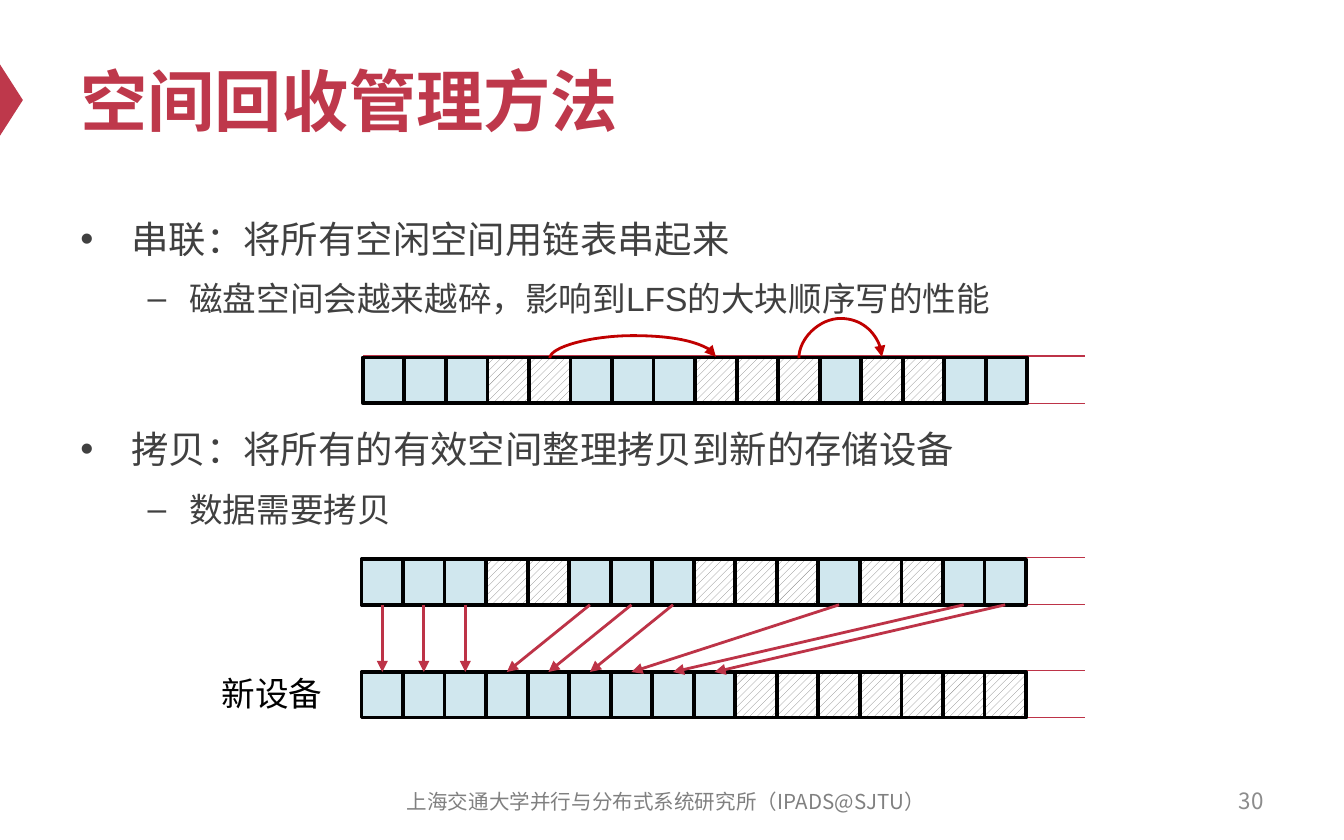
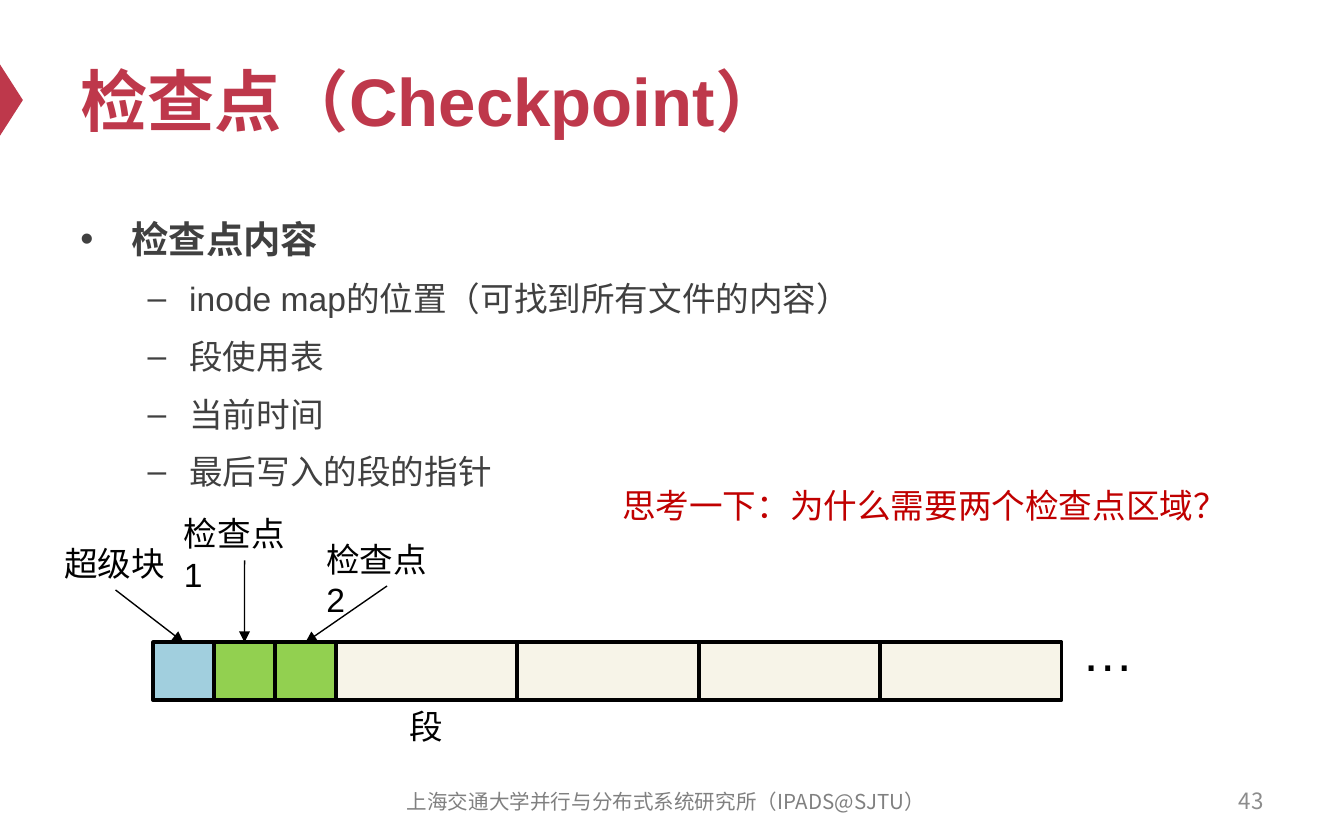
from lxml import etree
from pptx import Presentation
from pptx.dml.color import RGBColor
from pptx.enum.dml import MSO_PATTERN
from pptx.enum.shapes import MSO_CONNECTOR as Link, MSO_SHAPE as Preset
from pptx.enum.text import MSO_ANCHOR as Anchor, PP_ALIGN as Align
from pptx.oxml.ns import qn
from pptx.util import Inches, Pt

COLUMNS, ROWS = 100, 62.5
UNIT = Inches(0.1)
TOP, BOTTOM = 0, 2

CRIMSON, ARROW_RED, DEEP_RED = "BE384B", "BD3347", "C00000"
BLACK, WHITE, BODY_GREY = "000000", "FFFFFF", "404040"
HATCH_GREY, FOOTER_GREY, NUMBER_GREY = "808080", "808080", "8C8C8C"
USED_BLUE, SUPER_BLUE, CHECK_GREEN, SEGMENT_CREAM = "D0E7EE", "A1CFDE", "92D050", "F7F4E8"
BODY_FONT, FOOTER_FONT = "Arial", "Noto Sans CJK SC"

CELL_WIDTH, CELL_HEIGHT = 3.09, 3.4
OLD_BLOCKS = "###..###...#..##"
NEW_BLOCKS = "#########......."
FOOTER = "上海交通大学并行与分布式系统研究所（IPADS@SJTU）"

LEVELS = {
    0: {"size": 20, "left": 3.8, "hang": 3.8, "before": 12, "bullet": "•"},
    1: {"size": 18, "left": 8.1, "hang": 3.1, "before": 5, "bullet": "–"},
}


def units(*lengths):
    return [round(length * UNIT) for length in lengths]


def color(hex_value):
    return RGBColor.from_string(hex_value)


def apply(target, values):
    for name, value in values.items():
        setattr(target, name, value)


def add_run(paragraph, text, size, hex_value, font=BODY_FONT, bold=False):
    run = paragraph.add_run()
    run.text = text
    apply(run.font, {"size": Pt(size), "name": font, "bold": bold})
    run.font.color.rgb = color(hex_value)
    etree.SubElement(run.font._element, qn("a:ea"), typeface=font)


def add_frame(slide, area, anchor=Anchor.TOP, right=1, top=0.5):
    box = slide.shapes.add_textbox(*units(*area))
    margin_right, margin_top = units(right, top)
    apply(box.text_frame, {"word_wrap": True, "vertical_anchor": anchor,
                           "margin_right": margin_right, "margin_top": margin_top})
    return box


def add_label(slide, text, area, size=18, hex_value=BLACK, font=BODY_FONT,
              bold=False, align=Align.LEFT, anchor=Anchor.TOP, right=0):
    box = add_frame(slide, area, anchor, right)
    paragraph = box.text_frame.paragraphs[0]
    paragraph.alignment = align
    add_run(paragraph, text, size, hex_value, font, bold)
    return box


def add_body(slide, items):
    frame = add_frame(slide, (5, 14.6, 90, 41.2), top=0.8).text_frame
    for index, (level, text, options) in enumerate(items):
        style = LEVELS[level]
        paragraph = frame.add_paragraph() if index else frame.paragraphs[0]
        before = options.get("before", style["before"]) if index else 0
        apply(paragraph, {"level": level, "line_spacing": 1.2, "space_before": Pt(before)})
        properties = paragraph._p.get_or_add_pPr()
        left, hang = units(style["left"], style["hang"])
        properties.set("marL", str(left))
        properties.set("indent", str(-hang))
        etree.SubElement(properties, qn("a:buFont"), typeface=BODY_FONT)
        etree.SubElement(properties, qn("a:buChar"), char=style["bullet"])
        add_run(paragraph, text, style["size"], BODY_GREY, bold=options.get("bold", False))


def add_cell(slide, area, fill):
    cell = slide.shapes.add_shape(Preset.RECTANGLE, *units(*area))
    cell.shadow.inherit = False
    if fill:
        cell.fill.solid()
        cell.fill.fore_color.rgb = color(fill)
    else:
        cell.fill.patterned()
        cell.fill.pattern = MSO_PATTERN.WIDE_UPWARD_DIAGONAL
        cell.fill.fore_color.rgb = color(HATCH_GREY)
        cell.fill.back_color.rgb = color(WHITE)
    cell.line.color.rgb = color(BLACK)
    cell.line.width = Pt(2)
    return cell


def add_line(slide, hex_value, width, ends=(0, 0, 0, 0), kind=Link.STRAIGHT, arrow=False):
    line = slide.shapes.add_connector(kind, *units(*ends))
    line.line.color.rgb = color(hex_value)
    line.line.width = Pt(width)
    if arrow:
        etree.SubElement(line.line._get_or_add_ln(), qn("a:tailEnd"), type="triangle")
    etree.SubElement(line._element.spPr, qn("a:effectLst"))
    return line


def join(slide, start, end, hex_value, width, start_side=BOTTOM, kind=Link.STRAIGHT):
    line = add_line(slide, hex_value, width, kind=kind, arrow=True)
    line.begin_connect(start, start_side)
    line.end_connect(end, TOP)
    return line


def add_arch(slide, start, end, rise):
    arch = join(slide, start, end, DEEP_RED, 1.5, TOP, Link.CURVE)
    span = end.left - start.left
    thickness, = units(0.1)
    middle = start.left + (start.width + span) // 2
    transform = arch._element.spPr.find(qn("a:xfrm"))
    for name, value in {"rot": "5400000", "flipH": "1", "flipV": "1"}.items():
        transform.set(name, value)
    offset, extent = transform.find(qn("a:off")), transform.find(qn("a:ext"))
    offset.set("x", str(middle - thickness // 2))
    offset.set("y", str(start.top - span // 2))
    extent.set("cx", str(thickness))
    extent.set("cy", str(span))
    geometry = arch._element.spPr.find(qn("a:prstGeom"))
    geometry.set("prst", "curvedConnector3")
    guides = geometry.find(qn("a:avLst"))
    if guides is None:
        guides = etree.SubElement(geometry, qn("a:avLst"))
    etree.SubElement(guides, qn("a:gd"), name="adj1", fmla=f"val {round(rise / 0.1 * 100000)}")


def add_blocks(slide, left, top, pattern):
    for edge in (top - 0.1, top + CELL_HEIGHT):
        add_line(slide, ARROW_RED, 0.75, (left, edge, 80.7, edge))
    return [add_cell(slide, (left + index * CELL_WIDTH, top, CELL_WIDTH, CELL_HEIGHT),
                     USED_BLUE if mark == "#" else None)
            for index, mark in enumerate(pattern)]


def start_slide(presentation, title, number):
    slide = presentation.slides.add_slide(presentation.slide_layouts[6])
    marker = slide.shapes.add_shape(Preset.ISOSCELES_TRIANGLE, *units(-1.8, 6.6, 5.3, 1.7))
    marker.rotation = 90
    marker.shadow.inherit = False
    marker.fill.solid()
    marker.fill.fore_color.rgb = color(CRIMSON)
    marker.line.fill.background()
    add_label(slide, title, (5, 2.5, 90, 9.8), 36, CRIMSON, bold=True,
              anchor=Anchor.MIDDLE, right=1)
    add_label(slide, number, (71.7, 57.9, 23.3, 3.3), 12, NUMBER_GREY, FOOTER_FONT,
              align=Align.RIGHT, anchor=Anchor.MIDDLE, right=1)
    add_label(slide, FOOTER, (27.9, 58, 43.3, 3.3), 11, FOOTER_GREY, FOOTER_FONT,
              align=Align.CENTER, anchor=Anchor.MIDDLE, right=1)
    return slide


def build_reclaim_slide(presentation):
    slide = start_slide(presentation, "空间回收管理方法", "30")
    add_body(slide, [
        (0, "串联：将所有空闲空间用链表串起来", {}),
        (1, "磁盘空间会越来越碎，影响到LFS的大块顺序写的性能", {}),
        (0, "拷贝：将所有的有效空间整理拷贝到新的存储设备", {"before": 53}),
        (1, "数据需要拷贝", {}),
    ])
    chained = add_blocks(slide, 27, 26.6, OLD_BLOCKS)
    for start, end, rise in ((4, 8, 1.7), (10, 12, 3)):
        add_arch(slide, chained[start], chained[end], rise)
    old_device = add_blocks(slide, 26.9, 41.6, OLD_BLOCKS)
    new_device = add_blocks(slide, 26.9, 50, NEW_BLOCKS)
    used = [cell for cell, mark in zip(old_device, OLD_BLOCKS) if mark == "#"]
    for source, target in zip(used, new_device):
        join(slide, source, target, ARROW_RED, 1.5)
    add_label(slide, "新设备", (15.5, 49.6, 9.6, 4))


def build_checkpoint_slide(presentation):
    slide = start_slide(presentation, "检查点（Checkpoint）", "43")
    fills = [SUPER_BLUE] + [CHECK_GREEN] * 2 + [SEGMENT_CREAM] * 4
    left, cells = 11.4, []
    for fill in fills:
        width = 13.5 if fill == SEGMENT_CREAM else 4.53
        cells.append(add_cell(slide, (left, 47.8, width, 4.3), fill))
        left += width
    add_label(slide, "…", (79.5, 45.6, 5.9, 5.7), 28)
    add_label(slide, "段", (29.5, 52, 4.5, 4))
    labels = [
        add_label(slide, "超级块", (3.8, 39.9, 9.6, 4)),
        add_label(slide, "检查点1", (12.7, 37.7, 11, 4), right=1.5),
        add_label(slide, "检查点2", (23.3, 39.6, 11, 4), right=1.5),
    ]
    for label, cell in zip(labels, cells):
        join(slide, label, cell, BLACK, 0.75)
    add_body(slide, [
        (0, "检查点内容", {"bold": True}),
        (1, "inode map的位置（可找到所有文件的内容）", {}),
        (1, "段使用表", {}),
        (1, "当前时间", {}),
        (1, "最后写入的段的指针", {}),
    ])
    add_label(slide, "思考一下：为什么需要两个检查点区域？", (45.3, 35.6, 47.9, 4),
              hex_value=DEEP_RED)


def main():
    presentation = Presentation()
    width, height = units(COLUMNS, ROWS)
    apply(presentation, {"slide_width": width, "slide_height": height})
    build_reclaim_slide(presentation)
    build_checkpoint_slide(presentation)
    presentation.save("out.pptx")


if __name__ == "__main__":
    main()
